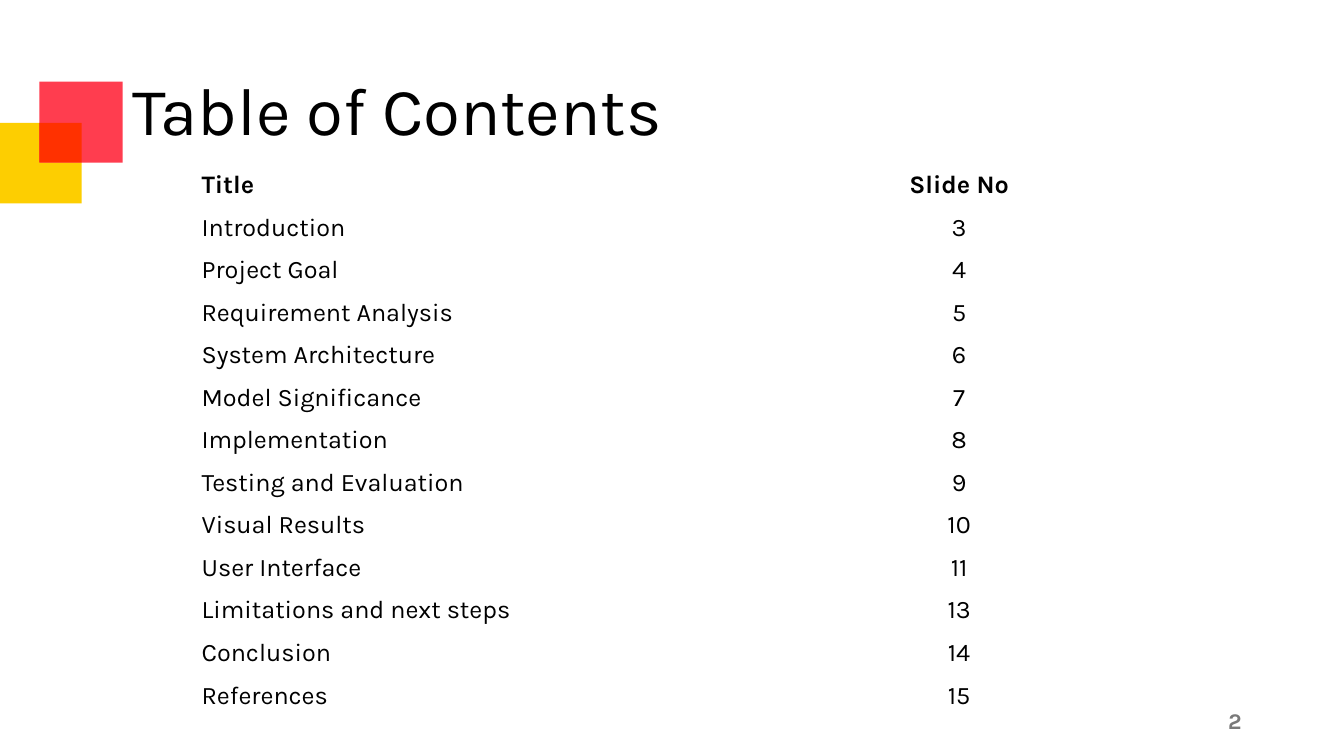
from pptx import Presentation
from pptx.dml.color import RGBColor
from pptx.enum import shapes, text
from pptx.util import Pt

CONTENTS = [
    ("Title", "Slide No"),
    ("Introduction", "3"),
    ("Project Goal", "4"),
    ("Requirement Analysis", "5"),
    ("System Architecture", "6"),
    ("Model Significance", "7"),
    ("Implementation", "8"),
    ("Testing and Evaluation", "9"),
    ("Visual Results", "10"),
    ("User Interface", "11"),
    ("Limitations and next steps", "13"),
    ("Conclusion", "14"),
    ("References", "15"),
]
LEFT, CENTER, RIGHT = (text.PP_ALIGN.LEFT, text.PP_ALIGN.CENTER,
                       text.PP_ALIGN.RIGHT)


def color(value):
    return RGBColor.from_string(value)


class Page:
    """Holds the text style and the current slide."""
    font, ink = "Karla", "000000"

    def __init__(self, deck):
        self.slide = deck.slides.add_slide(deck.slide_layouts[5])

    def add_words(self, frame, words, size, align=LEFT, bold=False, ink=None):
        para = frame.paragraphs[0]
        para.alignment = align
        span = para.add_run()
        span.text = words
        span.font.name = self.font
        span.font.size = Pt(size)
        span.font.bold = bold
        span.font.color.rgb = color(ink or self.ink)
        return para

    def place(self, box, left, top, width, height):
        box.left, box.top = Pt(left), Pt(top)
        box.width, box.height = Pt(width), Pt(height)
        frame = box.text_frame
        frame.word_wrap = True
        frame.auto_size = text.MSO_AUTO_SIZE.NONE
        frame.vertical_anchor = text.MSO_ANCHOR.MIDDLE
        return frame

    def title(self, words, area, indent):
        frame = self.place(self.slide.shapes.title, *area)
        frame.margin_left = Pt(indent)
        self.add_words(frame, words, 48).line_spacing = 0.9

    def label(self, words, area, **style):
        box = self.slide.shapes.add_textbox(0, 0, 0, 0)
        self.add_words(self.place(box, *area), words, **style)

    def block(self, fill, *area):
        box = self.slide.shapes.add_shape(
            shapes.MSO_SHAPE.RECTANGLE, *map(Pt, area))
        box.shadow.inherit = False
        box.fill.solid()
        box.fill.fore_color.rgb = color(fill)
        box.line.fill.background()

    def table(self, rows, left, top, widths, row_height):
        grid = self.slide.shapes.add_table(
            len(rows), len(widths), Pt(left), Pt(top),
            Pt(sum(widths)), Pt(row_height * len(rows))).table
        grid.first_row = grid.horz_banding = False
        for column, width in zip(grid.columns, widths):
            column.width = Pt(width)
        for r, row in enumerate(rows):
            for c, words in enumerate(row):
                cell = grid.cell(r, c)
                cell.fill.background()
                self.add_words(cell.text_frame, words, 18,
                               CENTER if c else LEFT, bold=r == 0)


def main():
    deck = Presentation()
    deck.slide_width, deck.slide_height = Pt(960), Pt(540)
    page = Page(deck)

    # Overlapping squares
    page.block("FDCE01", 0, 87.8, 58.3, 57.6)
    page.block("FF3D4F", 28.1, 58.3, 59.6, 57.8)
    page.block("FF3100", 28.1, 87.8, 30.2, 28.3)

    # Heading and slide number
    page.title("Table of Contents", (66, 28.8, 828, 104.4), indent=29)
    page.label("2", (678, 500.5, 216, 28.8), size=16, align=RIGHT,
               bold=True, ink="797979")

    # Contents list
    page.table(CONTENTS, 136.8, 118.1, (410.4, 275.8), 30.4)

    deck.save("out.pptx")


if __name__ == "__main__":
    main()
